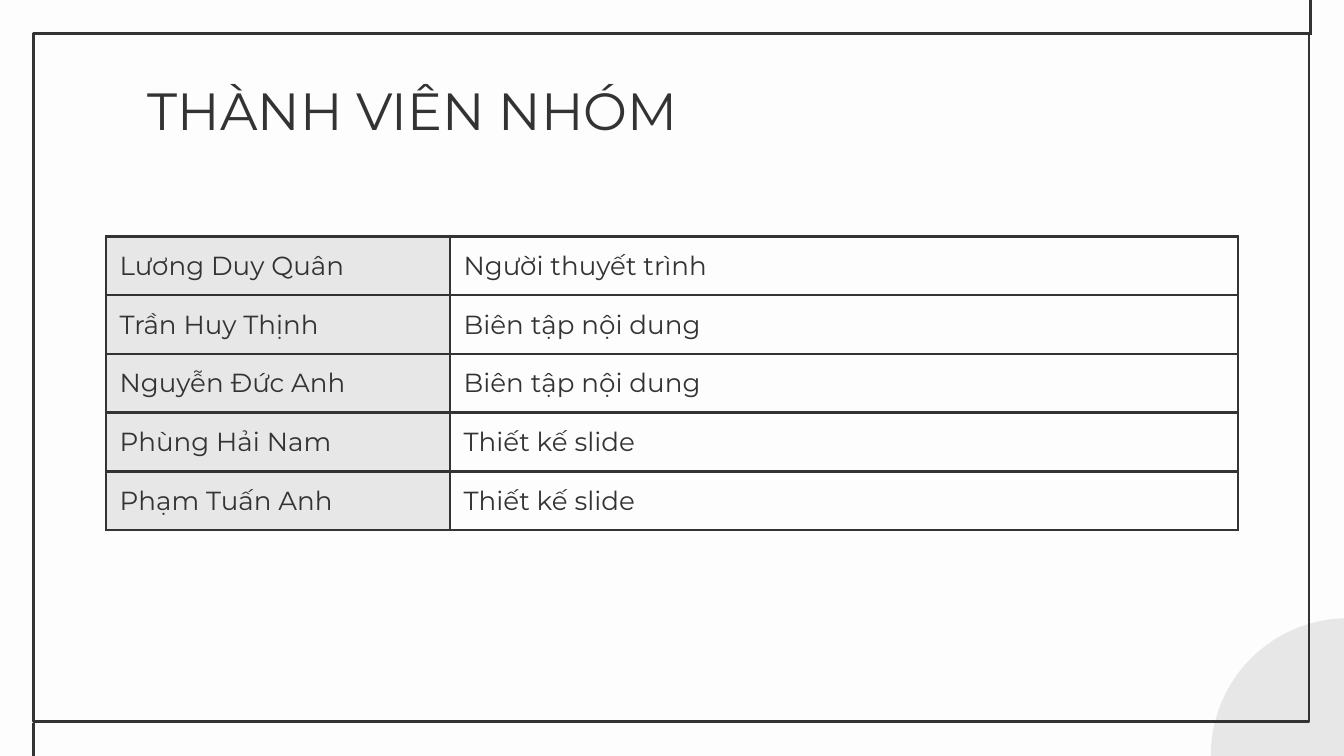
from lxml.etree import SubElement
from pptx import Presentation
from pptx.dml.color import RGBColor
from pptx.enum.shapes import MSO_CONNECTOR, MSO_SHAPE
from pptx.enum.text import MSO_ANCHOR, PP_ALIGN
from pptx.oxml.ns import qn
from pptx.util import Inches, Pt

COLORS = {name: RGBColor.from_string(value) for name, value in {
    "background": "FDFDFD", "ink": "333333", "gray": "E8E7E7"}.items()}
FONT = "Montserrat"
MEMBERS = [
    ("Lương Duy Quân", "Người thuyết trình"),
    ("Trần Huy Thịnh", "Biên tập nội dung"),
    ("Nguyễn Đức Anh", "Biên tập nội dung"),
    ("Phùng Hải Nam", "Thiết kế slide"),
    ("Phạm Tuấn Anh", "Thiết kế slide"),
]


def format_text(paragraph, size):
    paragraph.alignment = PP_ALIGN.LEFT
    for run in paragraph.runs:
        run.font.name = FONT
        run.font.size = Pt(size)
        run.font.bold = False
        run.font.color.rgb = COLORS["ink"]


def add_borders(cell):
    properties = cell._tc.get_or_add_tcPr()
    for side in ("a:lnL", "a:lnR", "a:lnT", "a:lnB"):
        line = SubElement(properties, qn(side), w=str(Pt(1.5)))
        fill = SubElement(line, qn("a:solidFill"))
        SubElement(fill, qn("a:srgbClr"), val=str(COLORS["ink"]))


# 16:9 slide
presentation = Presentation()
presentation.slide_width = Inches(10)
presentation.slide_height = Inches(10 * 9 / 16)
slide = presentation.slides.add_slide(presentation.slide_layouts[5])
slide.background.fill.solid()
slide.background.fill.fore_color.rgb = COLORS["background"]

# Corner circle
circle = slide.shapes.add_shape(
    MSO_SHAPE.OVAL, Inches(9.01), Inches(4.6), Inches(2.04), Inches(2.04))
circle.shadow.inherit = False
circle.fill.solid()
circle.fill.fore_color.rgb = COLORS["gray"]
circle.line.fill.background()

# Frame with a line running off two opposite corners
frame = slide.shapes.add_shape(
    MSO_SHAPE.RECTANGLE, Inches(0.25), Inches(0.25), Inches(9.49), Inches(5.12))
frame.shadow.inherit = False
frame.fill.background()
frame.line.color.rgb = COLORS["ink"]
frame.line.width = Pt(1.5)
for x, start, end in [(9.75, 0.26, -0.05), (0.25, 5.69, 5.38)]:
    corner_line = slide.shapes.add_connector(
        MSO_CONNECTOR.STRAIGHT, Inches(x), Inches(start), Inches(x), Inches(end))
    corner_line.line.color.rgb = COLORS["ink"]
    corner_line.line.width = Pt(1.5)
    SubElement(corner_line._element.spPr, qn("a:effectLst"))

# Title
title = slide.shapes.title
title.left, title.top = Inches(1), Inches(0.48)
title.width, title.height = Inches(8.43), Inches(0.63)
text_frame = title.text_frame
text_frame.text = "THÀNH VIÊN NHÓM"
text_frame.vertical_anchor = MSO_ANCHOR.TOP
text_frame.margin_left = text_frame.margin_right = Inches(0.1)
text_frame.margin_top = text_frame.margin_bottom = Inches(0.1)
format_text(text_frame.paragraphs[0], 28)

# Member table
row_height = 0.42
table = slide.shapes.add_table(
    len(MEMBERS), 2, Inches(0.79), Inches(1.76),
    Inches(8.42), Inches(row_height * len(MEMBERS))).table
table.first_row = False
table.horz_banding = False
table.columns[0].width = Inches(2.56)
table.columns[1].width = Inches(5.86)
for row_index, member in enumerate(MEMBERS):
    table.rows[row_index].height = Inches(row_height)
    for column_index, text in enumerate(member):
        cell = table.cell(row_index, column_index)
        cell.text_frame.text = text
        cell.vertical_anchor = MSO_ANCHOR.MIDDLE
        cell.margin_left = cell.margin_right = Inches(0.1)
        cell.margin_top = cell.margin_bottom = Inches(0.1)
        format_text(cell.text_frame.paragraphs[0], 14)
        add_borders(cell)
        if column_index == 0:
            cell.fill.solid()
            cell.fill.fore_color.rgb = COLORS["gray"]
        else:
            cell.fill.background()

presentation.save("out.pptx")
